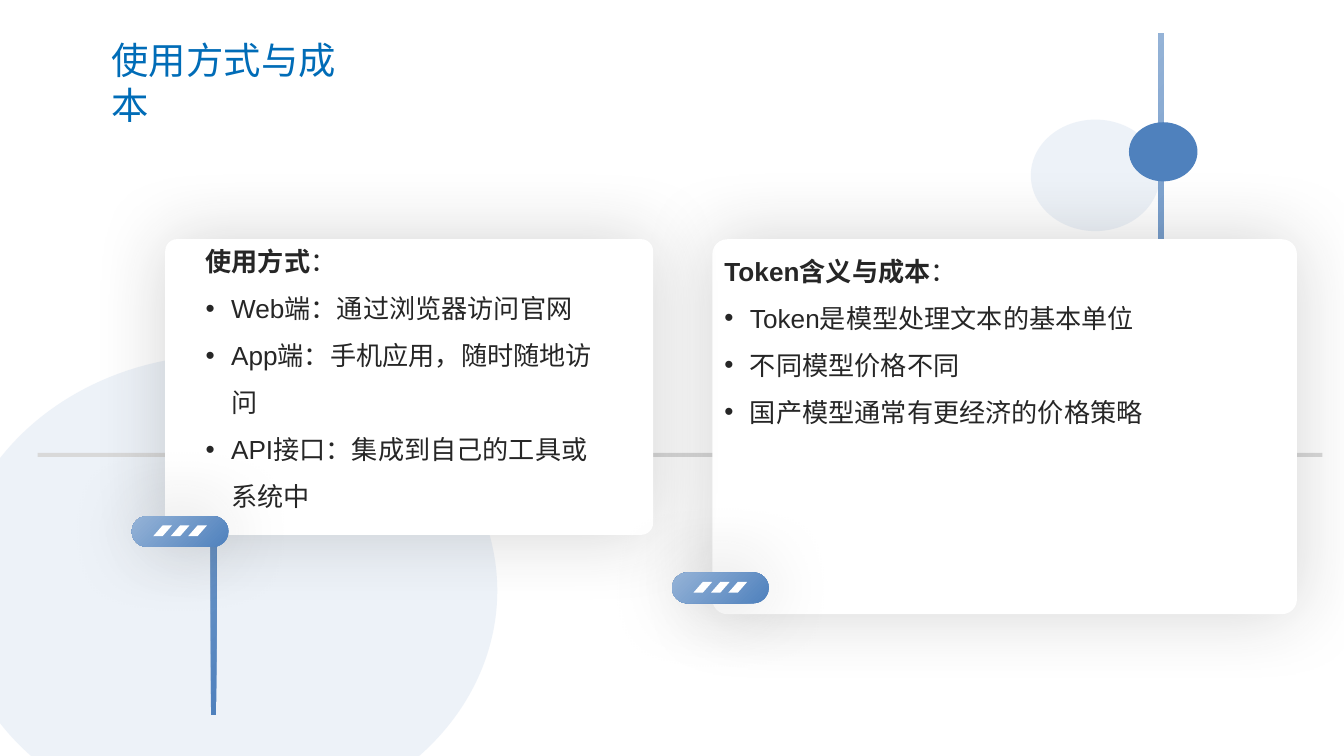
import pptx
import pptx.util
import pptx.dml.color
import pptx.enum.shapes
import pptx.enum.text
import pptx.oxml
import pptx.oxml.ns
from lxml import etree

Inches = pptx.util.Inches
Kind = pptx.enum.shapes.MSO_SHAPE
qn = pptx.oxml.ns.qn

CJK = "Noto Sans CJK SC"
BLUE, SKY, PALE = "4F81BD", "95B3D7", "DCE6F2"
WHITE, GREY, INK = "FFFFFF", "D9D9D9", "262626"


def color(code):
    return pptx.dml.color.RGBColor.from_string(code)


def write(para, text, size=14, font="Arial", ink=INK, bold=False):
    run = para.add_run()
    run.text = text
    run.font.size = pptx.util.Pt(size)
    run.font.name = font
    run.font.bold = bold
    run.font.color.rgb = color(ink)
    east = etree.SubElement(run._r.get_or_add_rPr(), qn("a:ea"))
    east.set("typeface", CJK)


class Deck:
    def __init__(self):
        self.prs = pptx.Presentation()
        self.prs.slide_width = Inches(10)
        self.prs.slide_height = Inches(10) * 9 // 16
        self.slide = self.prs.slides.add_slide(self.prs.slide_layouts[5])
        self.shapes = self.slide.shapes

    def title(self, text, x, y, w, h):
        box = self.shapes.title
        box.left, box.top, box.width, box.height = map(Inches, (x, y, w, h))
        frame = box.text_frame
        frame.word_wrap = True
        frame.auto_size = pptx.enum.text.MSO_AUTO_SIZE.NONE
        frame.vertical_anchor = pptx.enum.text.MSO_ANCHOR.TOP
        para = frame.paragraphs[0]
        para.alignment = pptx.enum.text.PP_ALIGN.LEFT
        write(para, text, size=20, font=CJK, ink="006CB7")

    def shape(self, kind, x, y, w, h, fill=None, alpha=None, round=None, glow=False):
        item = self.shapes.add_shape(kind, *map(Inches, (x, y, w, h)))
        item.shadow.inherit = False
        item.line.fill.background()
        if round is not None:
            item.adjustments[0] = round
        if fill:
            item.fill.solid()
            item.fill.fore_color.rgb = color(fill)
        else:
            item.fill.gradient()
            item.fill.gradient_angle = 135
            for stop, code in zip(item.fill.gradient_stops, (BLUE, SKY)):
                stop.color.rgb = color(code)
        props = item._element.spPr
        if alpha:
            tone = props.find(qn("a:solidFill")).find(qn("a:srgbClr"))
            etree.SubElement(tone, qn("a:alpha")).set("val", str(alpha * 1000))
        if glow:
            shade = etree.SubElement(
                props.find(qn("a:effectLst")), qn("a:outerShdw"),
                blurRad=str(pptx.util.Pt(40)), dist="0", dir="0",
                algn="ctr", rotWithShape="0")
            tone = etree.SubElement(shade, qn("a:srgbClr"), val=INK)
            etree.SubElement(tone, qn("a:alpha"), val="20000")
        return item

    def card(self, x, y, w, h):
        self.shape(Kind.ROUNDED_RECTANGLE, x, y, w, h, WHITE, round=0.04, glow=True)

    def list(self, head, lines, x, y, w, h):
        frame = self.shapes.add_textbox(*map(Inches, (x, y, w, h))).text_frame
        frame.word_wrap = True
        frame.margin_left = frame.margin_right = 0
        frame.margin_top = frame.margin_bottom = 0
        para = frame.paragraphs[0]
        para.line_spacing = 1.5
        write(para, head, bold=True)
        write(para, "：")
        for line in lines:
            para = frame.add_paragraph()
            props = para._p.get_or_add_pPr()
            props.set("marL", str(Inches(0.19)))
            props.set("indent", str(-Inches(0.19)))
            etree.SubElement(props, qn("a:buFont"), typeface="Arial")
            etree.SubElement(props, qn("a:buChar"), char="•")
            para.line_spacing = 1.5
            write(para, line)

    def badge(self, x, y):
        self.shape(Kind.ROUNDED_RECTANGLE, x, y, 0.72, 0.23, round=0.5, glow=True)
        top, low = y + 0.07, y + 0.15
        path = None
        for step in range(3):
            left = x + 0.16 + 0.13 * step
            spots = [(left + 0.07, top), (left + 0.14, top),
                     (left + 0.07, low), (left, low)]
            spots = [(Inches(a), Inches(b)) for a, b in spots]
            if path is None:
                path = self.shapes.build_freeform(*spots[0])
            else:
                path.move_to(*spots[0])
            path.add_line_segments(spots[1:], close=True)
        marks = path.convert_to_shape()
        marks.shadow.inherit = False
        marks.fill.solid()
        marks.fill.fore_color.rgb = color(WHITE)
        marks.line.fill.background()


def main():
    deck = Deck()
    deck.title("使用方式与成本", 0.73, 0.23, 2.14, 0.44)
    deck.shape(Kind.OVAL, 7.67, 0.89, 0.96, 0.83, PALE, alpha=50)
    deck.shape(Kind.OVAL, -0.35, 2.64, 4.05, 3.51, PALE, alpha=50)
    deck.shape(Kind.RECTANGLE, 0.28, 3.37, 9.56, 0.03, GREY)
    deck.shape(Kind.RECTANGLE, 8.62, 0.25, 0.04, 3.58)
    deck.card(5.3, 1.78, 4.35, 2.79)
    deck.list("Token含义与成本", [
        "Token是模型处理文本的基本单位",
        "不同模型价格不同",
        "国产模型通常有更经济的价格策略",
    ], 5.39, 1.78, 4.29, 2.11)
    deck.shape(Kind.RECTANGLE, 1.57, 1.9, 0.04, 3.42)
    deck.card(1.23, 1.78, 3.63, 2.2)
    deck.list("使用方式", [
        "Web端：通过浏览器访问官网",
        "App端：手机应用，随时随地访问",
        "API接口：集成到自己的工具或系统中",
    ], 1.53, 1.71, 3.03, 1.73)
    deck.badge(5, 4.26)
    deck.badge(0.98, 3.84)
    deck.shape(Kind.OVAL, 8.4, 0.91, 0.51, 0.44, BLUE)
    deck.prs.save("out.pptx")


if __name__ == "__main__":
    main()
